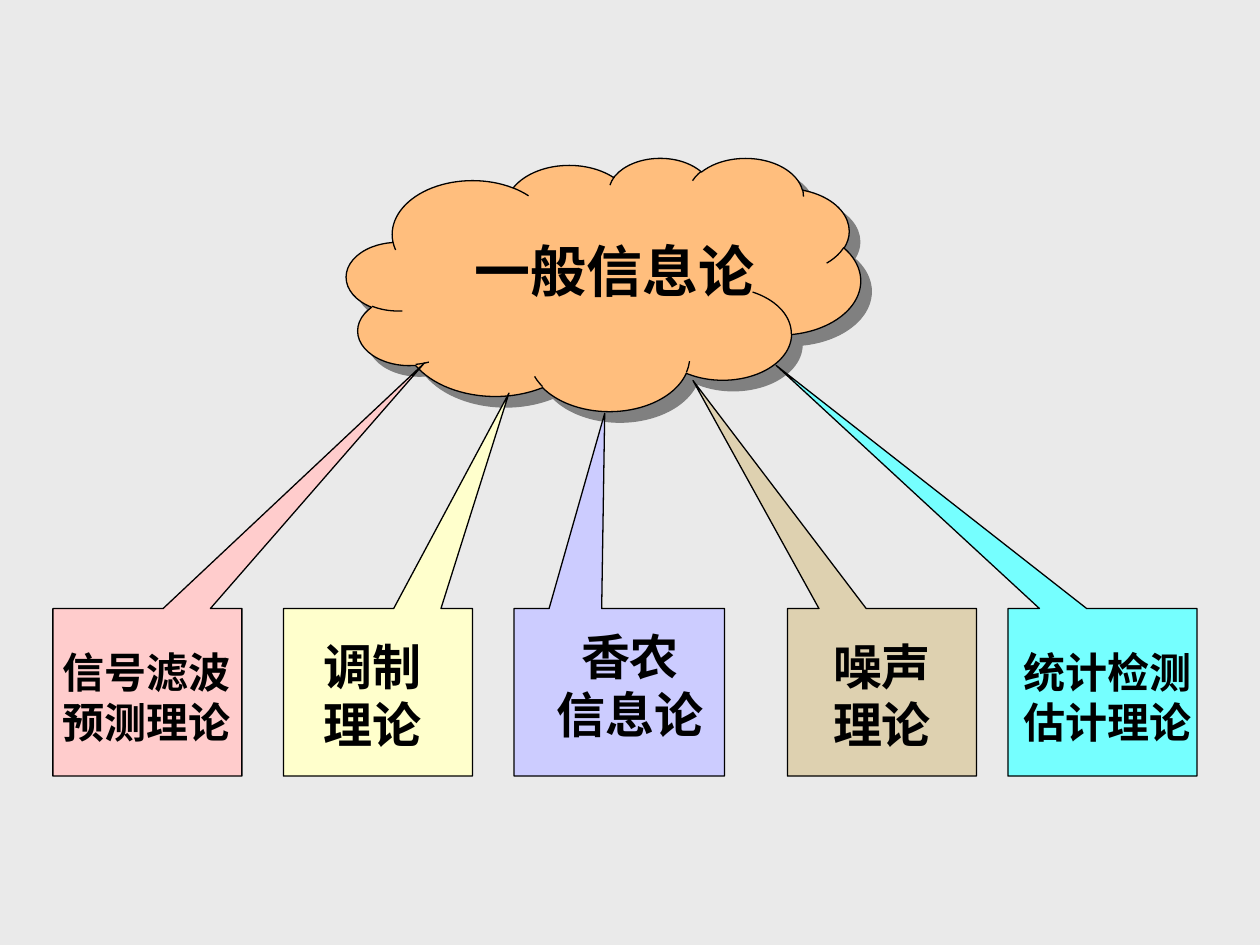
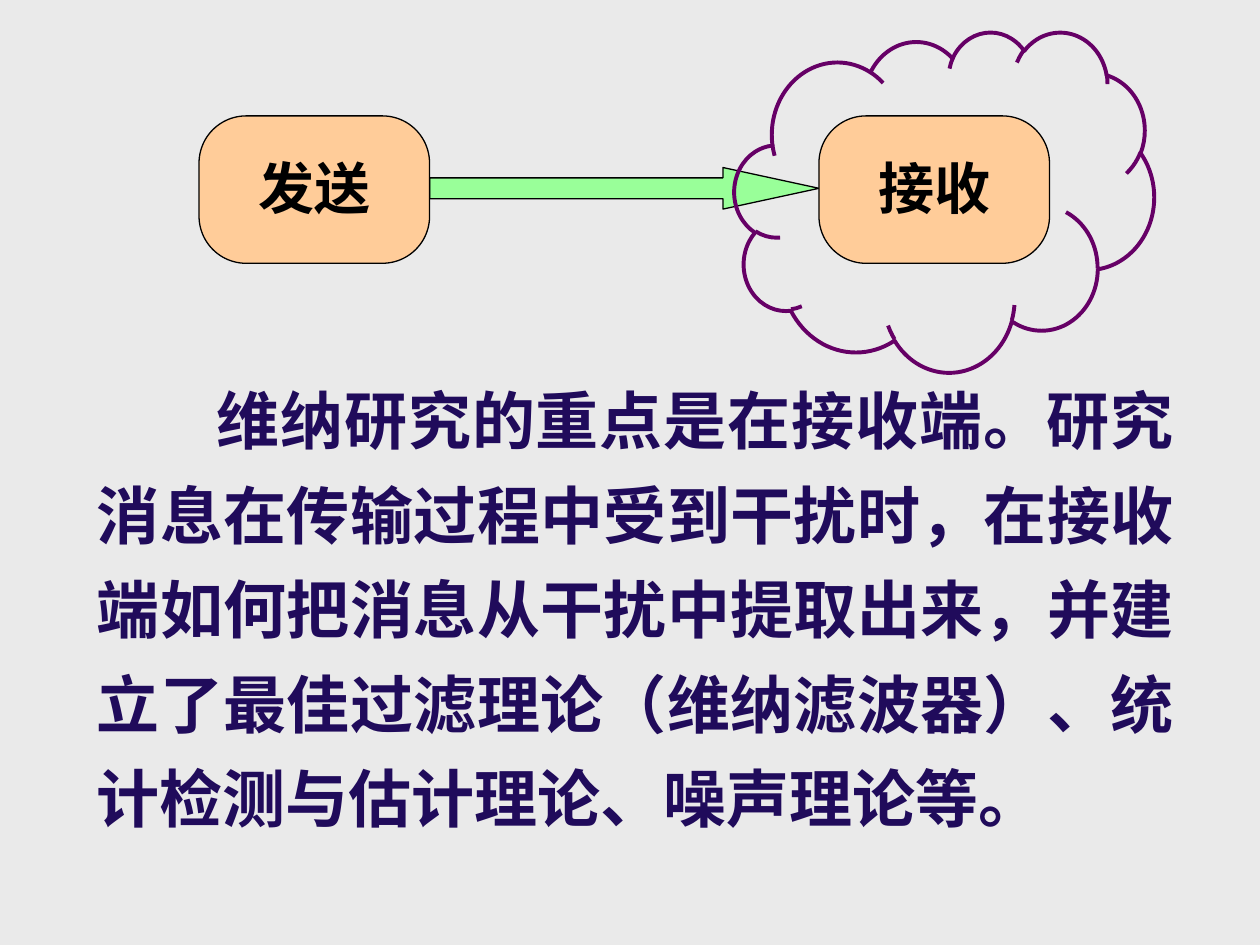
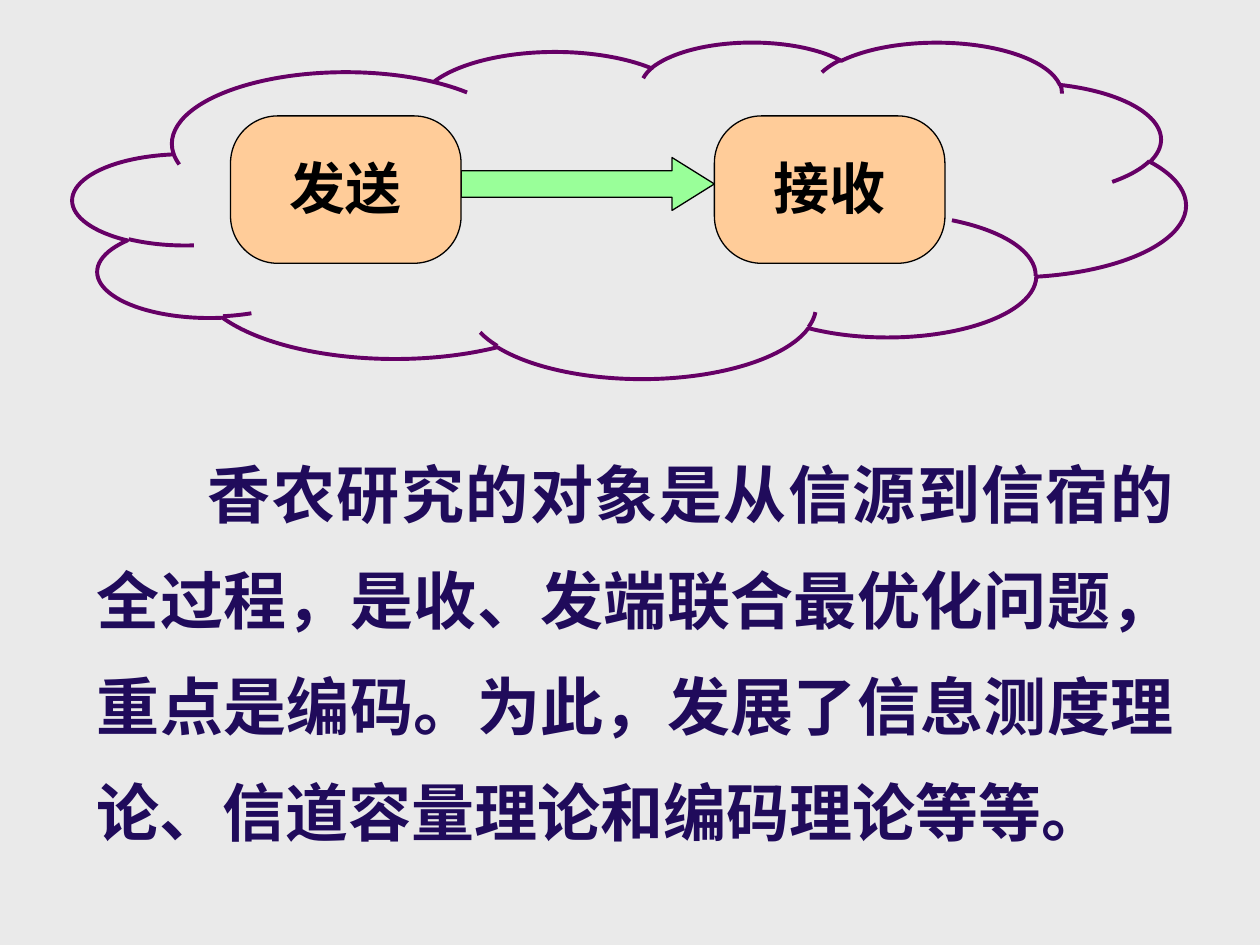
from collections import namedtuple

from lxml import etree
from pptx import Presentation
from pptx.dml.color import RGBColor
from pptx.enum.shapes import MSO_SHAPE as Preset
from pptx.enum.text import PP_ALIGN as Align
from pptx.oxml.ns import qn
from pptx.util import Inches, Pt

# Shared look
BACKGROUND = "EAEAEA"
BLACK = "000000"
BODY_COLOR = "200B5B"
NODE_FILL = "FFCC99"
ARROW_FILL = "99FF99"
CLOUD_FILL = "FFBE7D"
CLOUD_LINE = "660066"
SHADOW = "808080"
LATIN_FONT = "Arial"
BODY_FONT = "Times New Roman"
CHINESE_FONT = "Noto Sans CJK SC"

# All boxes are in inches
Box = namedtuple("Box", "left top width height")


def color(hex_string):
    return RGBColor.from_string(hex_string)


def add_preset(slide, preset, box, fill=None, line=BLACK, line_width=0.75):
    shape = slide.shapes.add_shape(preset, *map(Inches, box))
    shape.shadow.inherit = False
    if fill:
        shape.fill.solid()
        shape.fill.fore_color.rgb = color(fill)
    else:
        shape.fill.background()
    shape.line.color.rgb = color(line)
    shape.line.width = Pt(line_width)
    return shape


def add_text(slide, box, text, size, align=Align.CENTER, font_name=LATIN_FONT,
             font_color=BLACK):
    frame = slide.shapes.add_textbox(*map(Inches, box)).text_frame
    frame.word_wrap = True
    frame.text = text
    paragraph = frame.paragraphs[0]
    paragraph.alignment = align
    for run in paragraph.runs:
        run.font.size = Pt(size)
        run.font.bold = True
        run.font.name = font_name
        run.font.color.rgb = color(font_color)
        etree.SubElement(run.font._element, qn("a:ea"), typeface=CHINESE_FONT)
    return paragraph


def add_drop_shadow(shape, hex_string, distance):
    effects = shape._element.spPr.find(qn("a:effectLst"))
    shadow = etree.SubElement(effects, qn("a:outerShdw"), dist=str(Pt(distance)),
                              dir=str(45 * 60000), algn="ctr", rotWithShape="0")
    etree.SubElement(shadow, qn("a:srgbClr"), val=hex_string)


# Overview: a cloud with callouts pointing at it
def add_topic_cloud(slide, box, text):
    cloud = add_preset(slide, Preset.CLOUD, box, CLOUD_FILL)
    add_drop_shadow(cloud, SHADOW, 8.5)
    label_box = Box(box.left + 0.92, box.top + 0.58, 2.58, 0.64)
    add_text(slide, label_box, text, 32, Align.LEFT)


def add_callout(slide, box, tip, fill, text, size, label_offset, label_width):
    callout = add_preset(slide, Preset.RECTANGULAR_CALLOUT, box, fill)
    tip_x, tip_y = tip
    callout.adjustments[0] = (tip_x - box.left) / box.width - 0.5
    callout.adjustments[1] = (tip_y - box.top) / box.height - 0.5
    offset_x, offset_y = label_offset
    label_box = Box(box.left + offset_x, box.top + offset_y, label_width, 1.04)
    add_text(slide, label_box, text, size)


def build_overview(slide):
    add_topic_cloud(slide, Box(2.75, 1.25, 4.08, 2.01), "一般信息论")
    # left, width, tip, fill, text, size, label offset, label width
    theories = [
        (4.08, 1.67, (4.8, 3.28), "CCCCFF", "香农\v信息论", 28, (0.17, 0.09), 1.5),
        (6.25, 1.5, (5.5, 3.02), "DED1B0", "噪声理论", 28, (0.25, 0.17), 1),
        (2.25, 1.5, (4.04, 3.12), "FFFFCC", "调制 理论", 28, (0.08, 0.17), 1.25),
        (0.42, 1.5, (3.37, 2.88), "FFCCCC", "信号滤波预测理论", 24, (-0.17, 0.25), 1.83),
        (8, 1.5, (6.16, 2.9), "75FFFF", "统计检测估计理论", 24, (0, 0.25), 1.58),
    ]
    for left, width, *details in theories:
        add_callout(slide, Box(left, 4.83, width, 1.33), *details)


# Study scope: sender, receiver, the cloud around what is studied, and the text
def add_node(slide, box, text):
    node = add_preset(slide, Preset.ROUNDED_RECTANGLE, box, NODE_FILL)
    node.adjustments[0] = 0.32
    add_text(slide, Box(box.left, box.top + 0.25, box.width, 0.64), text, 32)


def add_channel(slide, sender_left, receiver_left, arrow_top, arrow_height, head):
    sender = Box(sender_left, 0.92, 1.83, 1.17)
    receiver = sender._replace(left=receiver_left)
    start = sender.left + sender.width
    arrow_box = Box(start, arrow_top, receiver.left - start, arrow_height)
    arrow = add_preset(slide, Preset.RIGHT_ARROW, arrow_box, ARROW_FILL)
    arrow.adjustments[1] = head
    add_node(slide, sender, "发送")
    add_node(slide, receiver, "接收")


def add_body(slide, box, text, indent, line_spacing):
    paragraph = add_text(slide, box, text, 36, Align.JUSTIFY, BODY_FONT, BODY_COLOR)
    paragraph.line_spacing = line_spacing
    paragraph._p.get_or_add_pPr().set("indent", str(Inches(indent)))


def build_scope(slide, body, channel, cloud_box):
    add_body(slide, *body)
    add_channel(slide, *channel)
    add_preset(slide, Preset.CLOUD, cloud_box, line=CLOUD_LINE, line_width=2.25)


def main():
    presentation = Presentation()
    presentation.slide_width = Inches(10)
    presentation.slide_height = Inches(7.5)
    background = presentation.slide_master.background.fill
    background.solid()
    background.fore_color.rgb = color(BACKGROUND)
    blank_layout = presentation.slide_layouts[6]

    build_overview(presentation.slides.add_slide(blank_layout))
    build_scope(
        presentation.slides.add_slide(blank_layout),
        body=(Box(0.67, 2.83, 8.75, 4.08),
              "维纳研究的重点是在接收端。研究消息在传输过程中受到干扰时，"
              "在接收端如何把消息从干扰中提取出来，并建立了最佳过滤理论"
              "（维纳滤波器）、统计检测与估计理论、噪声理论等。", 0.95, 1.25),
        channel=(1.58, 6.5, 1.33, 0.33, 2.31),
        cloud_box=Box(5.83, 0.25, 3.33, 2.7))
    build_scope(
        presentation.slides.add_slide(blank_layout),
        body=(Box(0.67, 3.33, 8.75, 4),
              "香农研究的对象是从信源到信宿的全过程，是收、发端联合最优化问题，"
              "重点是编码。为此，发展了信息测度理论、信道容量理论和编码理论等等。",
              0.88, 1.4),
        channel=(1.83, 5.67, 1.25, 0.42, 0.8),
        cloud_box=Box(0.58, 0.33, 8.83, 2.67))
    presentation.save("out.pptx")


if __name__ == "__main__":
    main()
